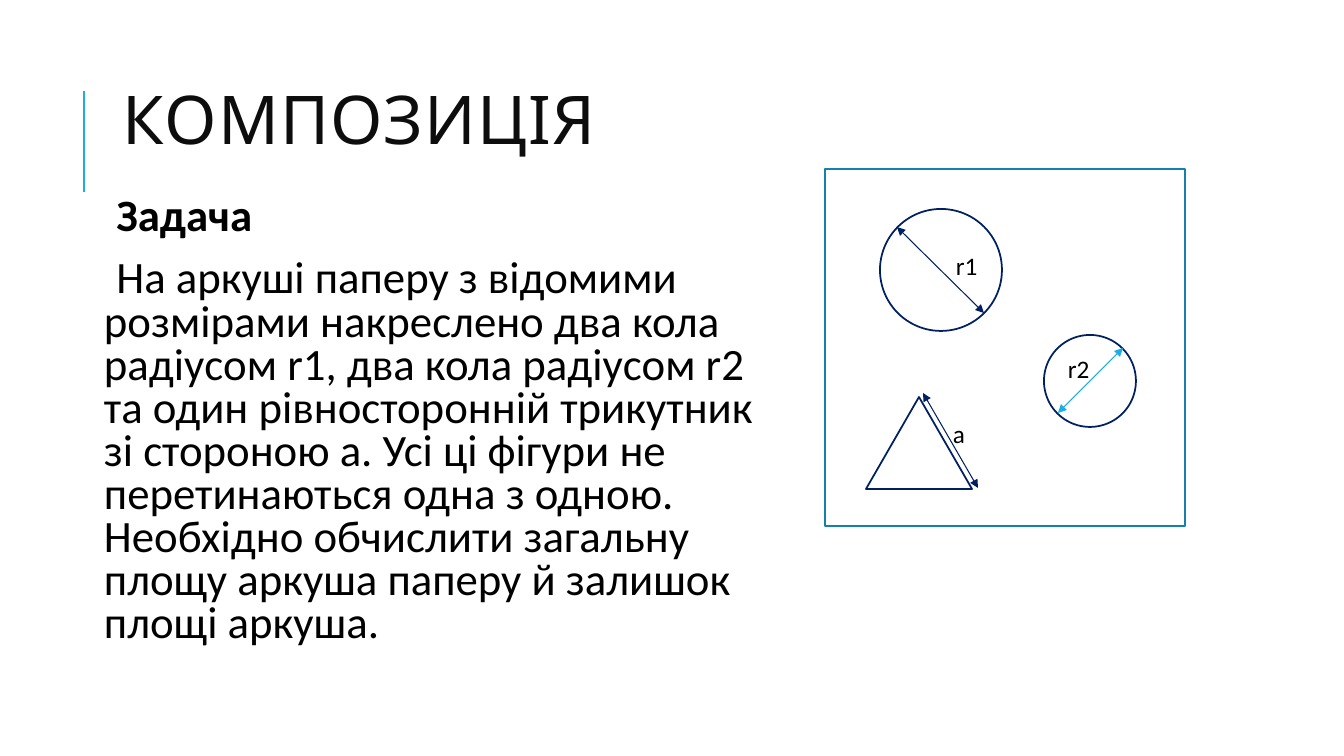
"""Build the composition task slide with its sketch of figures on a sheet."""
import pptx
import pptx.util
import pptx.dml.color
import pptx.enum.shapes
import pptx.enum.text
import pptx.oxml
import pptx.oxml.ns

MSO = pptx.enum.shapes.MSO_SHAPE
ANCHOR = pptx.enum.text.MSO_ANCHOR

TITLE = "КОМПОЗИЦІЯ"
BODY = [
    ("Задача", True),
    ("На аркуші паперу з відомими розмірами накреслено два кола радіусом r1, "
     "два кола радіусом r2 та один рівносторонній трикутник зі стороною а. "
     "Усі ці фігури не перетинаються одна з одною. Необхідно обчислити "
     "загальну площу аркуша паперу й залишок площі аркуша.", False),
]
FIGURES = [
    (MSO.RECTANGLE, (825, 169, 360, 357), "sheet"),
    (MSO.OVAL, (880, 209, 122, 122), "ink"),
    (MSO.OVAL, (1044, 335, 92, 92), "ink"),
    (MSO.ISOSCELES_TRIANGLE, (866, 397, 106, 92), "ink"),
]
DIMENSIONS = [
    ((897, 227, 984, 313), "ink"),
    ((1123, 348, 1058, 413), "accent"),
    ((923, 393, 978, 488), "ink"),
]
LABELS = [("a", (943, 413, 34, 40)), ("r1", (946, 245, 42, 40)), ("r2", (1058, 348, 42, 40))]
TITLE_BAR = (84, 192, 84, 91)
TITLE_BOX = (113, 65, 1072, 120)
BODY_BOX = (89, 192, 681, 496)
BODY_INSET, BODY_INDENT = 5, 10

THEME = {
    "color": {"accent": "1CADE4", "sheet": "1580A9", "ink": "002060",
              "title": "0D0D0D", "text": "000000"},
    "font": {"title": "Cabin", "text": "Calibri"},
    "size": {"title": 48, "body": 32, "label": 18},
    "line": {"bar": 1.5, "figure": 1.25, "dimension": 0.75},
    "spacing": 0.8,
}
SCALE = 914400 / 100.8


def px(*values):
    return [pptx.util.Emu(round(v * SCALE)) for v in values]


def rgb(name):
    return pptx.dml.color.RGBColor.from_string(THEME["color"][name])


def add_xml(parent, tag, **attrs):
    el = pptx.oxml.parse_xml(f"<a:{tag} {pptx.oxml.ns.nsdecls('a')}/>")
    for key, value in attrs.items():
        el.set(key, value)
    parent.append(el)
    return el


def set_line(sp, color, width):
    sp.line.color.rgb = rgb(color)
    sp.line.width = pptx.util.Pt(THEME["line"][width])


def add_figure(s, kind, box, color):
    sp = s.shapes.add_shape(kind, *px(*box))
    sp.shadow.inherit = False
    sp.fill.background()
    set_line(sp, color, "figure")


def add_line(s, ends, color, width, arrows=False):
    sp = s.shapes.add_connector(pptx.enum.shapes.MSO_CONNECTOR.STRAIGHT, *px(*ends))
    set_line(sp, color, width)
    if arrows:
        for end in ("headEnd", "tailEnd"):
            add_xml(sp.line._get_or_add_ln(), end, type="triangle")
    add_xml(sp._element.spPr, "effectLst")


def add_text_box(s, box, wrap=True, anchor=ANCHOR.TOP):
    tf = s.shapes.add_textbox(*px(*box)).text_frame
    tf.word_wrap = wrap
    tf.vertical_anchor = anchor
    return tf


def add_run(p, text, size, role="text", bold=False):
    r = p.add_run()
    r.text = text
    r.font.name = THEME["font"][role]
    r.font.size = pptx.util.Pt(THEME["size"][size])
    r.font.color.rgb = rgb(role)
    r.font.bold = bold
    return r


def add_title(s):
    p = add_text_box(s, TITLE_BOX, anchor=ANCHOR.MIDDLE).paragraphs[0]
    p.line_spacing = THEME["spacing"]
    r = add_run(p, TITLE, "title", "title")
    r.font._element.set("spc", "100")


def add_body(s):
    tf = add_text_box(s, BODY_BOX)
    tf.margin_left, tf.margin_top, tf.margin_right, tf.margin_bottom = px(*[BODY_INSET] * 4)
    indent = px(BODY_INDENT)[0]
    for i, (text, bold) in enumerate(BODY):
        p = tf.add_paragraph() if i else tf.paragraphs[0]
        p.line_spacing = THEME["spacing"]
        p.space_before = pptx.util.Pt(12)
        p.space_after = pptx.util.Pt(2)
        pPr = p._p.get_or_add_pPr()
        pPr.set("marL", str(indent))
        pPr.set("indent", str(-indent))
        add_xml(pPr, "buChar", char=" ")
        add_run(p, text, "body", bold=bold)


prs = pptx.Presentation()
prs.slide_width, prs.slide_height = px(1344, 756)
s = prs.slides.add_slide(prs.slide_layouts[6])
add_line(s, TITLE_BAR, "accent", "bar")
add_title(s)
add_body(s)
for kind, box, color in FIGURES:
    add_figure(s, kind, box, color)
for ends, color in DIMENSIONS:
    add_line(s, ends, color, "dimension", arrows=True)
for text, box in LABELS:
    add_run(add_text_box(s, box, wrap=False).paragraphs[0], text, "label")
prs.save("out.pptx")
